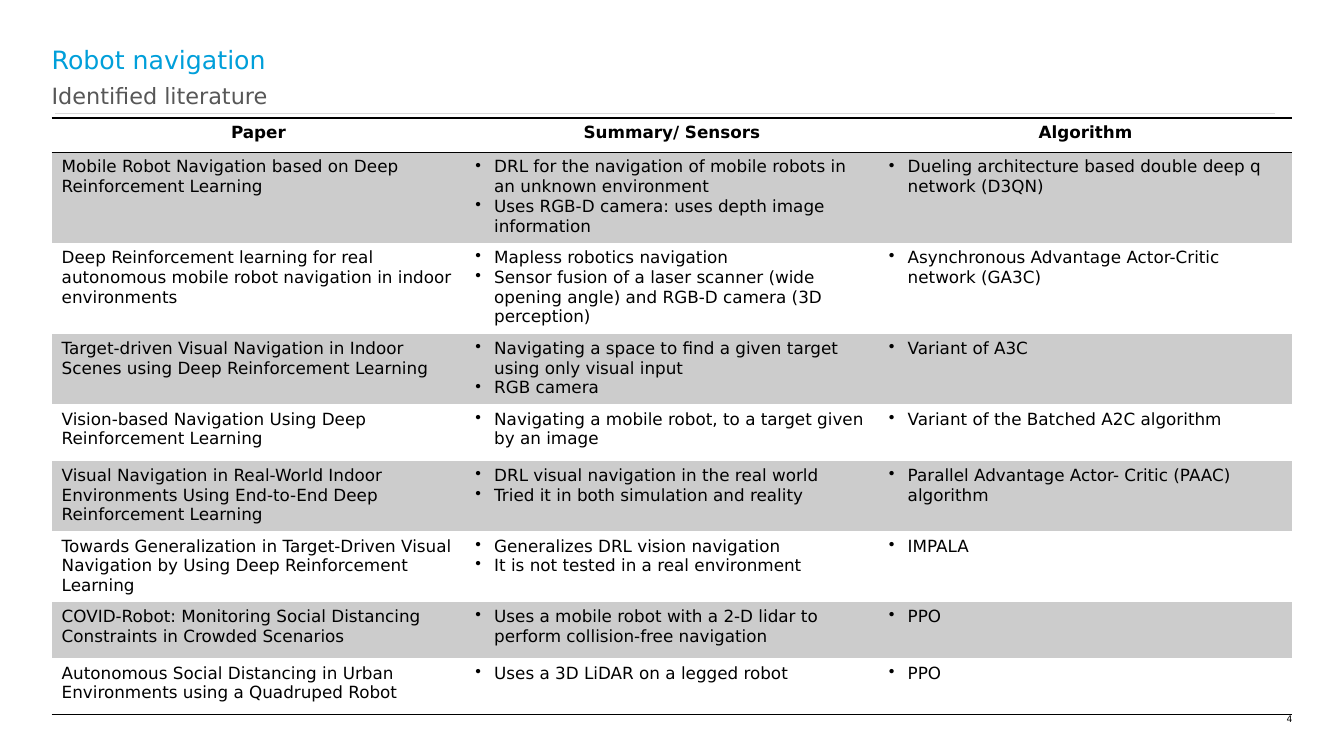
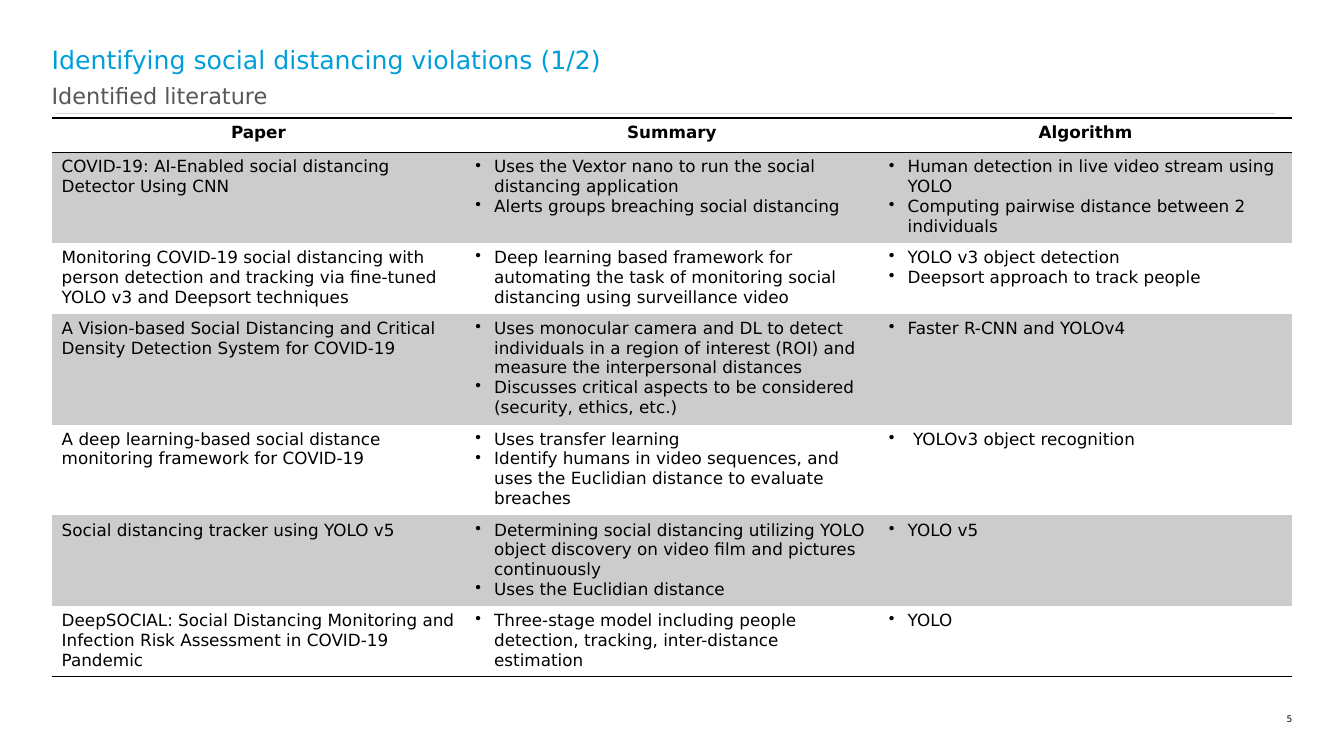
"""Builds two literature table slides on robot navigation and social distancing."""
from lxml import etree
from pptx import Presentation
from pptx.dml.color import RGBColor
from pptx.enum.shapes import MSO_CONNECTOR
from pptx.enum.text import PP_ALIGN
from pptx.oxml.ns import qn
from pptx.util import Pt

LEFT, MID, RIGHT = PP_ALIGN.LEFT, PP_ALIGN.CENTER, PP_ALIGN.RIGHT
LINE = MSO_CONNECTOR.STRAIGHT
FONT = "DejaVu Sans"
BLACK, BLUE, GREY, RULE, BAND = "000000", "009FDA", "575757", "D9D9D9", "CCCCCC"
PLAIN = "{2D5ABB26-0587-4C30-8999-92F81FD0307C}"
EDGE, WIDE = 36.9, 886.2
HEAD, ROW = 24.5, 40.3
HANG = 13.5
FIRST = 4

SUB = "Identified literature"
SLIDES = [
    {
        "title": "Robot navigation",
        "heads": ("Paper", "Summary/ Sensors", "Algorithm"),
        "rows": [
            ("Mobile Robot Navigation based on Deep Reinforcement Learning",
             ["DRL for the navigation of mobile robots in an unknown environment",
              "Uses RGB-D camera: uses depth image information"],
             ["Dueling architecture based double deep q network (D3QN)"]),
            ("Deep Reinforcement learning for real autonomous mobile robot "
             "navigation in indoor environments",
             ["Mapless robotics navigation",
              "Sensor fusion of a laser scanner (wide opening angle) and "
              "RGB-D camera (3D perception)"],
             ["Asynchronous Advantage Actor-Critic network (GA3C)"]),
            ("Target-driven Visual Navigation in Indoor Scenes using Deep "
             "Reinforcement Learning",
             ["Navigating a space to find a given target using only visual input",
              "RGB camera"],
             ["Variant of A3C"]),
            ("Vision-based Navigation Using Deep Reinforcement Learning",
             ["Navigating a mobile robot, to a target given by an image"],
             ["Variant of the Batched A2C algorithm"]),
            ("Visual Navigation in Real-World Indoor Environments Using "
             "End-to-End Deep Reinforcement Learning",
             ["DRL visual navigation in the real world",
              "Tried it in both simulation and reality"],
             ["Parallel Advantage Actor- Critic (PAAC) algorithm"]),
            ("Towards Generalization in Target-Driven Visual Navigation by "
             "Using Deep Reinforcement Learning",
             ["Generalizes DRL vision navigation",
              "It is not tested in a real environment"],
             ["IMPALA"]),
            ("COVID-Robot: Monitoring Social Distancing Constraints in "
             "Crowded Scenarios",
             ["Uses a mobile robot with a 2-D lidar to perform "
              "collision-free navigation"],
             ["PPO"]),
            ("Autonomous Social Distancing in Urban Environments using a "
             "Quadruped Robot",
             ["Uses a 3D LiDAR on a legged robot"],
             ["PPO"]),
        ],
    },
    {
        "title": "Identifying social distancing violations (1/2)",
        "heads": ("Paper", "Summary", "Algorithm"),
        "rows": [
            ("COVID-19: AI-Enabled social distancing Detector Using CNN",
             ["Uses the Vextor nano to run the social distancing application",
              "Alerts groups breaching social distancing"],
             ["Human detection in live video stream using YOLO",
              "Computing pairwise distance between 2 individuals"]),
            ("Monitoring COVID-19 social distancing with person detection and "
             "tracking via fine-tuned YOLO v3 and Deepsort techniques",
             ["Deep learning based framework for automating the task of "
              "monitoring social distancing using surveillance video"],
             ["YOLO v3 object detection",
              "Deepsort approach to track people"]),
            ("A Vision-based Social Distancing and Critical Density Detection "
             "System for COVID-19",
             ["Uses monocular camera and DL to detect individuals in a region "
              "of interest (ROI) and measure the interpersonal distances",
              "Discusses critical aspects to be considered "
              "(security, ethics, etc.)"],
             ["Faster R-CNN and YOLOv4"]),
            ("A deep learning-based social distance monitoring framework for "
             "COVID-19",
             ["Uses transfer learning",
              "Identify humans in video sequences, and uses the Euclidian "
              "distance to evaluate breaches"],
             [" YOLOv3 object recognition"]),
            ("Social distancing tracker using YOLO v5",
             ["Determining social distancing utilizing YOLO object discovery "
              "on video film and pictures continuously",
              "Uses the Euclidian distance"],
             ["YOLO v5"]),
            ("DeepSOCIAL: Social Distancing Monitoring and Infection Risk "
             "Assessment in COVID-19 Pandemic",
             ["Three-stage model including people detection, tracking, "
              "inter-distance estimation"],
             ["YOLO"]),
        ],
    },
]


def color(code):
    """Turns a hex string into a colour."""
    return RGBColor.from_string(code)


def write(frame, text, size=12, tint=BLACK, bold=False, align=LEFT):
    """Writes a string as one paragraph, or a list as bullets."""
    listed = isinstance(text, list)
    for i, part in enumerate(text if listed else [text]):
        para = frame.add_paragraph() if i else frame.paragraphs[0]
        para.alignment = align
        run = para.add_run()
        run.text = part
        font = run.font
        font.name, font.size, font.bold = FONT, Pt(size), bold
        font.color.rgb = color(tint)
        if listed:
            props = para._p.get_or_add_pPr()
            props.set("marL", str(Pt(HANG)))
            props.set("indent", str(-Pt(HANG)))
            etree.SubElement(props, qn("a:buChar")).set("char", "•")


def label(slide, box, text, **form):
    """Adds a text box without margins."""
    frame = slide.shapes.add_textbox(*map(Pt, box)).text_frame
    frame.word_wrap = True
    frame.margin_left = frame.margin_right = 0
    frame.margin_top = frame.margin_bottom = 0
    write(frame, text, **form)


def border(cell, sides):
    """Draws black lines on the given sides of a cell."""
    props = cell._tc.get_or_add_tcPr()
    for side in sides:
        line = etree.SubElement(props, qn("a:ln" + side), w=str(Pt(1)))
        fill = etree.SubElement(line, qn("a:solidFill"))
        etree.SubElement(fill, qn("a:srgbClr"), val=BLACK)


def frame(slide, title, num):
    """Adds the title, subtitle, rule and slide number."""
    label(slide, (898.6, 509.8, 24.5, 7.9), str(num), size=6.5, align=RIGHT)
    rule = slide.shapes.add_connector(
        LINE, Pt(39.6), Pt(80.8), Pt(910.8), Pt(80.8))
    rule.line.color.rgb = color(RULE)
    rule.line.width = Pt(0.75)
    etree.SubElement(rule._element.spPr, qn("a:effectLst"))
    label(slide, (EDGE, 58.3, WIDE, 23), SUB, size=16, tint=GREY)
    label(slide, (EDGE, 31.8, WIDE, 26.5), title, size=18, tint=BLUE)


def grid(slide, heads, rows):
    """Adds the table with a ruled head and grey bands."""
    last = len(rows)
    high = HEAD + ROW * last
    table = slide.shapes.add_table(
        last + 1, len(heads), Pt(EDGE), Pt(84.3), Pt(WIDE), Pt(high)).table
    table.horz_banding = False
    table._tbl.tblPr.find(qn("a:tableStyleId")).text = PLAIN
    for col in table.columns:
        col.width = Pt(WIDE / len(heads))
    for r, row in enumerate([heads] + rows):
        top = r == 0
        table.rows[r].height = Pt(HEAD if top else ROW)
        for c, text in enumerate(row):
            cell = table.cell(r, c)
            write(cell.text_frame, text, bold=top, align=MID if top else LEFT)
            border(cell, "TB" if top else "B" if r == last else "")
            if r % 2:
                cell.fill.solid()
                cell.fill.fore_color.rgb = color(BAND)
            else:
                cell.fill.background()


def main():
    """Builds and saves the deck."""
    deck = Presentation()
    deck.slide_width, deck.slide_height = Pt(960), Pt(540)
    for num, page in enumerate(SLIDES, FIRST):
        slide = deck.slides.add_slide(deck.slide_layouts[6])
        frame(slide, page["title"], num)
        grid(slide, page["heads"], page["rows"])
    deck.save("out.pptx")


if __name__ == "__main__":
    main()
